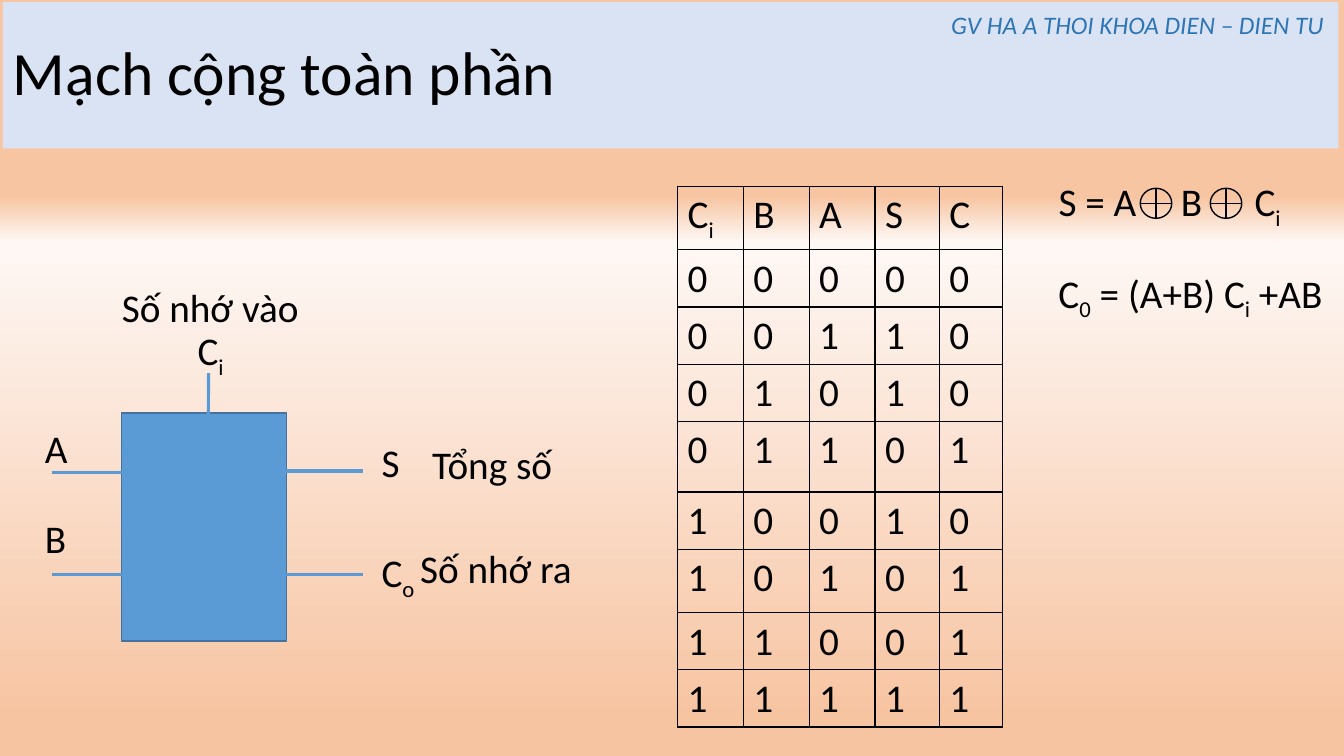
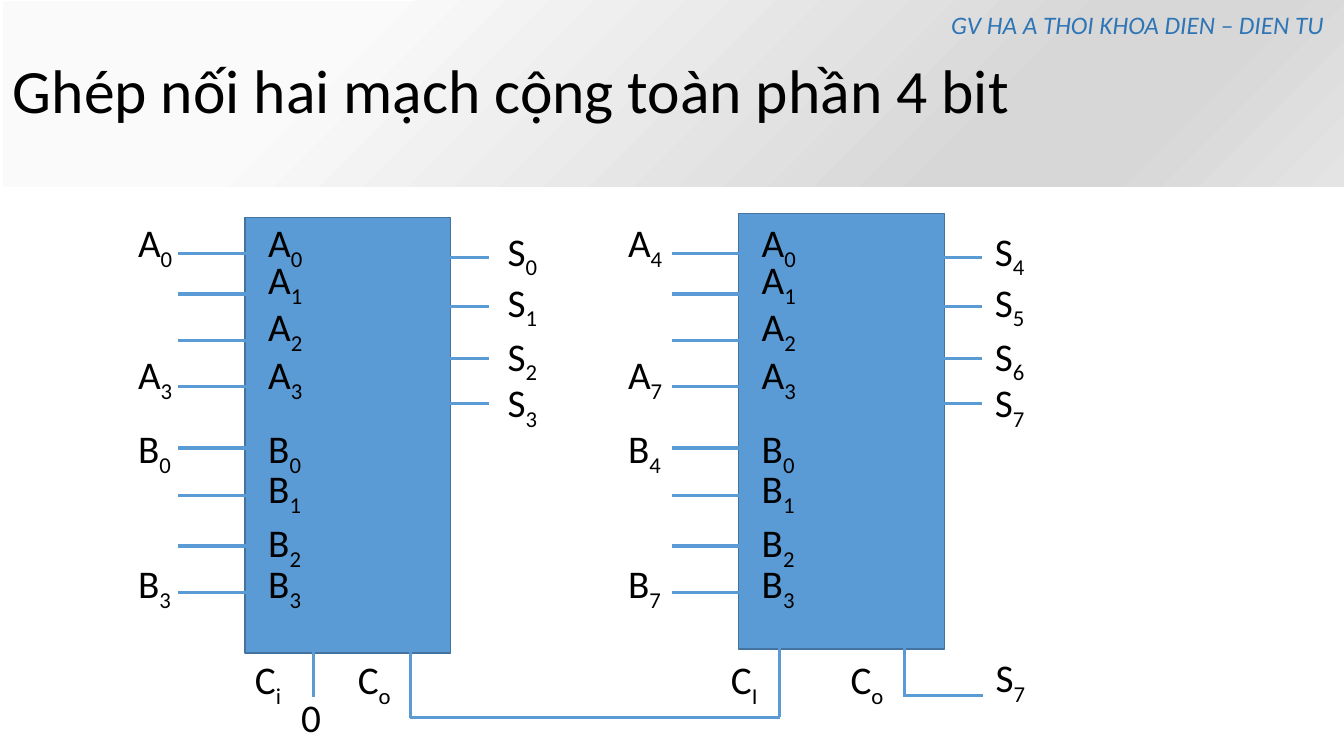
from dataclasses import dataclass
from itertools import product

from lxml import etree
from pptx import Presentation
from pptx.dml.color import RGBColor
from pptx.enum.shapes import MSO_CONNECTOR, MSO_SHAPE
from pptx.enum.text import MSO_ANCHOR, MSO_AUTO_SIZE, PP_ALIGN
from pptx.oxml.ns import qn
from pptx.util import Pt

RECTANGLE = MSO_SHAPE.RECTANGLE
XOR_SIGN = MSO_SHAPE.FLOWCHART_OR
STRAIGHT = MSO_CONNECTOR.STRAIGHT
MIDDLE = MSO_ANCHOR.MIDDLE
LEFT, CENTER = PP_ALIGN.LEFT, PP_ALIGN.CENTER
FIT_SHAPE, NO_FIT = MSO_AUTO_SIZE.SHAPE_TO_FIT_TEXT, MSO_AUTO_SIZE.NONE
TITLE_ONLY = 5


@dataclass(frozen=True)
class Theme:
    font: str = "Calibri"
    text: str = "000000"
    credit: str = "2E75B6"
    block: str = "5B9BD5"
    block_edge: str = "43739E"
    band: str = "DAE3F3"
    page_stops: tuple = ((0, "F7C4A2"), (5, "F7C4A2"), (68, "FEF8F5"),
                         (74, "F7C5A2"), (100, "F7C5A2"))
    band_stops: tuple = ((24, "FAFAFA"), (74, "D7D7D7"), (83, "D7D7D7"), (100, "E4E4E4"))
    title_size: float = 44
    body_size: float = 28
    credit_size: float = 18
    wire: float = 2.25
    thin: float = 1


THEME = Theme()
CREDIT = "GV HA A THOI KHOA DIEN – DIEN TU"
LABEL_HEIGHT = 41

INPUT_PINS = (
    ("A", ((181, 152.5), (210, 179), (243, 212.5), (276, 247))),
    ("B", ((320, 299.5), (354, 328), (390, 367), (423, 396))),
)
SUM_PINS = ((184, 158.5), (219, 195), (256, 233.5), (288, 266.5))


def rgb(value):
    return RGBColor.from_string(value)


def fill_gradient(fill, element, stops, angle):
    fill.gradient()
    fill.gradient_angle = angle
    stop_list = next(element.iter(qn("a:gsLst")))
    for stop in list(stop_list):
        stop_list.remove(stop)
    for position, color in stops:
        stop = etree.SubElement(stop_list, qn("a:gs"), pos=str(position * 1000))
        etree.SubElement(stop, qn("a:srgbClr"), val=color)


def add_runs(paragraph, pieces, size=THEME.body_size, color=THEME.text, italic=None):
    for index, piece in enumerate(pieces):
        run = paragraph.add_run()
        run.text = piece
        font = run.font
        font.name = THEME.font
        font.size = Pt(size)
        font.color.rgb = rgb(color)
        font.italic = italic
        if index % 2:
            run._r.get_or_add_rPr().set("baseline", "-25000")


def add_text_box(slide, left, top, width, height):
    frame = slide.shapes.add_textbox(Pt(left), Pt(top), Pt(width), Pt(height)).text_frame
    frame.word_wrap = False
    frame.auto_size = FIT_SHAPE
    return frame.paragraphs[0]


def add_label(slide, left, top, width, *pieces):
    add_runs(add_text_box(slide, left, top, width, LABEL_HEIGHT), pieces)


def add_credit(slide):
    paragraph = add_text_box(slide, 668.5, 3.3, 288, 29)
    paragraph.alignment = CENTER
    add_runs(paragraph, (CREDIT,), THEME.credit_size, THEME.credit, True)


def add_titled_slide(presentation, text, left, top, width, height):
    slide = presentation.slides.add_slide(presentation.slide_layouts[TITLE_ONLY])
    title = slide.shapes.title
    title.left, title.top, title.width, title.height = map(Pt, (left, top, width, height))
    frame = title.text_frame
    frame.word_wrap = True
    frame.auto_size = NO_FIT
    frame.vertical_anchor = MIDDLE
    paragraph = frame.paragraphs[0]
    paragraph.alignment = LEFT
    paragraph.line_spacing = 0.9
    add_runs(paragraph, (text,), THEME.title_size)
    add_credit(slide)
    return slide, title


def add_shape(slide, kind, left, top, width, height, edge, fill=None):
    shape = slide.shapes.add_shape(kind, Pt(left), Pt(top), Pt(width), Pt(height))
    shape.shadow.inherit = False
    if fill:
        shape.fill.solid()
        shape.fill.fore_color.rgb = rgb(fill)
    else:
        shape.fill.background()
    shape.line.color.rgb = rgb(edge)
    shape.line.width = Pt(THEME.thin)


def add_block(slide, left, top, width, height):
    add_shape(slide, RECTANGLE, left, top, width, height, THEME.block_edge, THEME.block)


def add_wire(slide, start_x, start_y, end_x, end_y):
    wire = slide.shapes.add_connector(STRAIGHT, Pt(start_x), Pt(start_y), Pt(end_x), Pt(end_y))
    wire.line.color.rgb = rgb(THEME.block)
    wire.line.width = Pt(THEME.wire)
    etree.SubElement(wire.element.spPr, qn("a:effectLst"))


def add_cell_borders(cell):
    properties = cell._tc.get_or_add_tcPr()
    for side in ("a:lnL", "a:lnR", "a:lnT", "a:lnB"):
        border = etree.SubElement(properties, qn(side), w=str(Pt(THEME.thin)))
        fill = etree.SubElement(border, qn("a:solidFill"))
        etree.SubElement(fill, qn("a:srgbClr"), val=THEME.text)


def add_table(slide, left, top, widths, heights, rows):
    table = slide.shapes.add_table(len(heights), len(widths), Pt(left), Pt(top),
                                   Pt(sum(widths)), Pt(sum(heights))).table
    table.first_row = False
    table.horz_banding = False
    for column, width in zip(table.columns, widths):
        column.width = Pt(width)
    for row, height, values in zip(table.rows, heights, rows):
        row.height = Pt(height)
        for cell, pieces in zip(row.cells, values):
            add_cell_borders(cell)
            cell.fill.background()
            add_runs(cell.text_frame.paragraphs[0], pieces)


def truth_rows():
    yield ("C", "i"), ("B",), ("A",), ("S",), ("C",)
    for inputs in product((0, 1), repeat=3):
        carry, digit = divmod(sum(inputs), 2)
        yield [(str(value),) for value in (*inputs, digit, carry)]


def build_full_adder(presentation):
    slide, title = add_titled_slide(presentation, "Mạch cộng toàn phần", 2, 1.5, 954, 104.5)
    title.fill.solid()
    title.fill.fore_color.rgb = rgb(THEME.band)
    fill_gradient(slide.background.fill, slide.element, THEME.page_stops, 90)

    add_block(slide, 87, 295, 117.5, 163)
    for start, end, upper in ((37.5, 93, 337.5), (204.5, 259, 336.5)):
        for y in (upper, 410.5):
            add_wire(slide, start, y, end, y)
    add_wire(slide, 148.5, 340, 149, 266.5)
    for label in (
        (25, 299.5, 31, "A"),
        (25, 363.5, 30, "B"),
        (265.5, 309.5, 27.5, "S"),
        (265.5, 388, 39.5, "C", "o"),
        (134, 229.5, 34, "C", "i"),
        (293, 385, 124.5, "Số nhớ ra"),
        (301.5, 311, 101.5, "Tổng số"),
        (80, 198.5, 142.5, "Số nhớ vào"),
        (749, 123, 70, "S = A"),
        (836.5, 123, 30, "B"),
        (889, 123, 34, "C", "i"),
        (749, 188.5, 205, "C", "0", " = (A+B) C", "i", " +AB"),
    ):
        add_label(slide, *label)
    for left in (814.5, 864.5):
        add_shape(slide, XOR_SIGN, left, 134.5, 22.5, 21.5, THEME.text)

    heights = [39.6] * 9
    heights[4], heights[6] = 50.4, 45.4
    add_table(slide, 484, 133, (47, 47, 47, 46, 45), heights, truth_rows())


def add_four_bit_adder(slide, shift, block_top, first_bit, outer_left, sum_left):
    add_block(slide, 175 + shift, block_top, 147, 311)
    for letter, pins in INPUT_PINS:
        for index, (wire_y, label_top) in enumerate(pins):
            add_wire(slide, 127.5 + shift, wire_y, 182 + shift, wire_y)
            add_label(slide, 184.5 + shift, label_top, 40, letter, str(index))
            if index in (0, 3):
                add_label(slide, outer_left, label_top, 40, letter, str(first_bit + index))
    for index, (wire_y, label_top) in enumerate(SUM_PINS):
        add_wire(slide, 294.5 + shift, wire_y, 349 + shift, wire_y)
        add_label(slide, sum_left, label_top, 37.5, "S", str(first_bit + index))


def build_cascade(presentation):
    slide, title = add_titled_slide(
        presentation, "Ghép nối hai mạch cộng toàn phần 4 bit", 2, 0.5, 960, 133)
    fill_gradient(title.fill, title.element, THEME.band_stops, 315)

    add_four_bit_adder(slide, 0, 155.5, 0, 91.5, 355.5)
    add_four_bit_adder(slide, 352.5, 152.5, 4, 441.5, 703.5)
    for wire in (
        (224, 466, 224, 498),
        (293.5, 466, 293.5, 513),
        (293, 512.5, 557.5, 512.5),
        (557, 463, 557, 512.5),
        (646, 463, 646, 498),
        (646.5, 497, 702, 497),
    ):
        add_wire(slide, *wire)
    for label in (
        (175, 464.5, 34, "C", "i"),
        (248.5, 464.5, 39.5, "C", "o"),
        (515, 464.5, 34.5, "C", "I"),
        (600.5, 464.5, 39.5, "C", "o"),
        (704, 463, 37.5, "S", "7"),
        (208, 492, 29, "0"),
    ):
        add_label(slide, *label)


def main():
    presentation = Presentation()
    presentation.slide_width = Pt(960)
    presentation.slide_height = Pt(540)
    build_full_adder(presentation)
    build_cascade(presentation)
    presentation.save("out.pptx")


if __name__ == "__main__":
    main()
